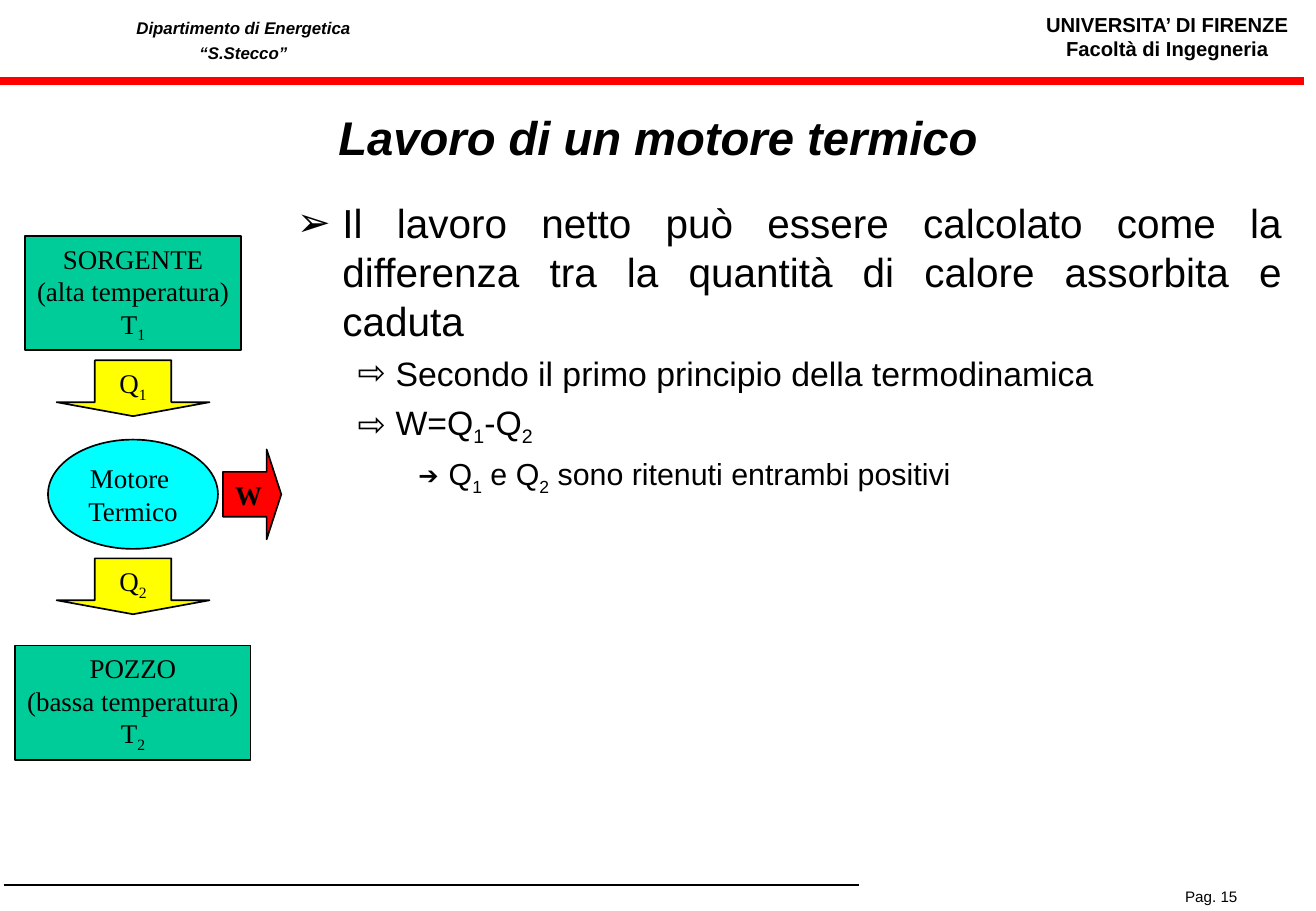
from dataclasses import dataclass
from typing import Optional

from lxml.etree import SubElement
from pptx import Presentation
from pptx.dml.color import RGBColor
from pptx.enum.shapes import MSO_CONNECTOR as Connector
from pptx.enum.shapes import MSO_SHAPE as Shape
from pptx.enum.text import MSO_ANCHOR as Anchor
from pptx.enum.text import PP_ALIGN as Align
from pptx.oxml.ns import qn
from pptx.util import Pt


@dataclass(frozen=True)
class Theme:
    ink: str = "000000"
    rule: str = "FF0000"
    reservoir: str = "00CC99"
    engine: str = "00FFFF"
    heat: str = "FFFF00"
    work: str = "FF0101"
    sans: str = "Arial"
    serif: str = "Times New Roman"
    title: float = 28
    levels: tuple = (24, 20, 18)
    diagram: float = 16
    university: float = 12
    department: float = 10
    page: float = 9


THEME = Theme()


@dataclass(frozen=True)
class Bullet:
    mark: str
    left: float
    hang: float
    before: float
    scale: int = 100


@dataclass(frozen=True)
class Label:
    lines: tuple
    at: tuple
    size: float
    bold: bool = False
    italic: bool = False
    align: Align = Align.CENTER
    anchor: Anchor = Anchor.TOP
    wrap: bool = True
    spacing: Optional[float] = None


@dataclass(frozen=True)
class Part:
    kind: Shape
    lines: tuple
    at: tuple
    fill: str
    bold: bool = False
    wrap: bool = True


@dataclass(frozen=True)
class Rule:
    start: float
    end: float
    top: float
    color: str
    weight: float


BULLETS = (
    Bullet("➢", 27, 27, 6),
    Bullet("⇨", 58.5, 22.5, 5),
    Bullet("➔", 90, 18, 4.5, 80),
)

# An underscore lowers the character after it
POINTS = (
    (0, "Il lavoro netto può essere calcolato come la differenza tra la "
        "quantità di calore assorbita e caduta"),
    (1, "Secondo il primo principio della termodinamica"),
    (1, "W=Q_1-Q_2"),
    (2, "Q_1 e Q_2 sono ritenuti entrambi positivi"),
)

LABELS = (
    Label(("UNIVERSITA’ DI FIRENZE", "Facoltà di Ingegneria"),
          (612, 3.6, 160.6, 36), THEME.university, bold=True, wrap=False),
    Label(("Pag. 15",), (695.8, 522.4, 84.2, 18), THEME.page, align=Align.LEFT),
    Label(("Dipartimento di Energetica “S.Stecco”",),
          (58.6, 4, 171.4, 36.7), THEME.department,
          bold=True, italic=True, spacing=15),
    Label(("Lavoro di un motore termico",), (21.6, 54, 737.3, 54),
          THEME.title, bold=True, italic=True, anchor=Anchor.MIDDLE),
)

RULES = (
    Rule(0, 773.6, 48.2, THEME.rule, 4.5),
    Rule(2.2, 509.3, 524.5, THEME.ink, 1),
)

PARTS = (
    Part(Shape.RECTANGLE, ("SORGENTE", "(alta temperatura)", "T_1"),
         (14.8, 140, 128.2, 67.7), THEME.reservoir, wrap=False),
    Part(Shape.RECTANGLE, ("POZZO", "(bassa temperatura)", "T_2"),
         (9, 382.7, 139.7, 67.7), THEME.reservoir, wrap=False),
    Part(Shape.OVAL, ("Motore ", "Termico"),
         (28.5, 260.6, 100.8, 64.8), THEME.engine),
    Part(Shape.DOWN_ARROW, ("Q_1",), (33.6, 213.6, 90.7, 33.1), THEME.heat),
    Part(Shape.DOWN_ARROW, ("Q_2",), (33.6, 331, 90.7, 33.1), THEME.heat),
    Part(Shape.RIGHT_ARROW, ("W",), (132.2, 266.4, 34.6, 53.3), THEME.work,
         bold=True, wrap=False),
)


def write(para, text: str, *, size: float, font: str = THEME.sans,
          bold: bool = False, italic: bool = False,
          align: Align = Align.CENTER, spacing: Optional[float] = None) -> None:
    para.alignment = align
    if spacing:
        para.line_spacing = Pt(spacing)
    first, *rest = text.split("_")
    pieces = [(first, False)]
    for piece in rest:
        pieces += [(piece[:1], True), (piece[1:], False)]
    for words, lowered in pieces:
        if not words:
            continue
        span = para.add_run()
        span.text = words
        span.font.size = Pt(size)
        span.font.name = font
        span.font.bold = bold
        span.font.italic = italic
        span.font.color.rgb = RGBColor.from_string(THEME.ink)
        if lowered:
            span.font._element.set("baseline", "-25000")


def paragraphs(frame, count: int) -> list:
    return [frame.paragraphs[0]] + [frame.add_paragraph() for _ in range(count - 1)]


def add_bullet(para, bullet: Bullet) -> None:
    props = para._p.get_or_add_pPr()
    props.set("marL", str(Pt(bullet.left)))
    props.set("indent", str(-Pt(bullet.hang)))
    color = SubElement(props, qn("a:buClr"))
    SubElement(color, qn("a:srgbClr"), val=THEME.ink)
    SubElement(props, qn("a:buSzPct"), val=str(bullet.scale * 1000))
    SubElement(props, qn("a:buFont"), typeface=THEME.sans)
    SubElement(props, qn("a:buChar"), char=bullet.mark)


def add_label(page, label: Label) -> None:
    frame = page.shapes.add_textbox(*map(Pt, label.at)).text_frame
    frame.word_wrap = label.wrap
    frame.vertical_anchor = label.anchor
    for para, line in zip(paragraphs(frame, len(label.lines)), label.lines):
        write(para, line, size=label.size, bold=label.bold, italic=label.italic,
              align=label.align, spacing=label.spacing)


def add_rule(page, rule: Rule) -> None:
    line = page.shapes.add_connector(
        Connector.STRAIGHT, Pt(rule.start), Pt(rule.top), Pt(rule.end), Pt(rule.top))
    line.line.color.rgb = RGBColor.from_string(rule.color)
    line.line.width = Pt(rule.weight)
    SubElement(line._element.spPr, qn("a:effectLst"))


def add_part(page, part: Part) -> None:
    box = page.shapes.add_shape(part.kind, *map(Pt, part.at))
    box.shadow.inherit = False
    if part.kind in (Shape.DOWN_ARROW, Shape.RIGHT_ARROW):
        box.adjustments[0], box.adjustments[1] = 0.5, 0.25
    box.fill.solid()
    box.fill.fore_color.rgb = RGBColor.from_string(part.fill)
    box.line.color.rgb = RGBColor.from_string(THEME.ink)
    box.line.width = Pt(1)
    frame = box.text_frame
    frame.word_wrap = part.wrap
    frame.vertical_anchor = Anchor.MIDDLE
    for para, line in zip(paragraphs(frame, len(part.lines)), part.lines):
        write(para, line, size=THEME.diagram, font=THEME.serif, bold=part.bold)


def add_points(page) -> None:
    frame = page.shapes.add_textbox(Pt(169), Pt(114.1), Pt(598.3), Pt(408.2)).text_frame
    frame.word_wrap = True
    for index, (para, (level, text)) in enumerate(
            zip(paragraphs(frame, len(POINTS)), POINTS)):
        para.level = level
        add_bullet(para, BULLETS[level])
        if index:
            para.space_before = Pt(BULLETS[level].before)
        write(para, text, size=THEME.levels[level], align=Align.JUSTIFY)


def main() -> None:
    deck = Presentation()
    deck.slide_width = Pt(780.48)
    deck.slide_height = Pt(540)
    page = deck.slides.add_slide(deck.slide_layouts[6])
    # Header, footer and title
    for label in LABELS:
        add_label(page, label)
    for rule in RULES:
        add_rule(page, rule)
    # Explanation
    add_points(page)
    # Heat engine diagram
    for part in PARTS:
        add_part(page, part)
    deck.save("out.pptx")


if __name__ == "__main__":
    main()
